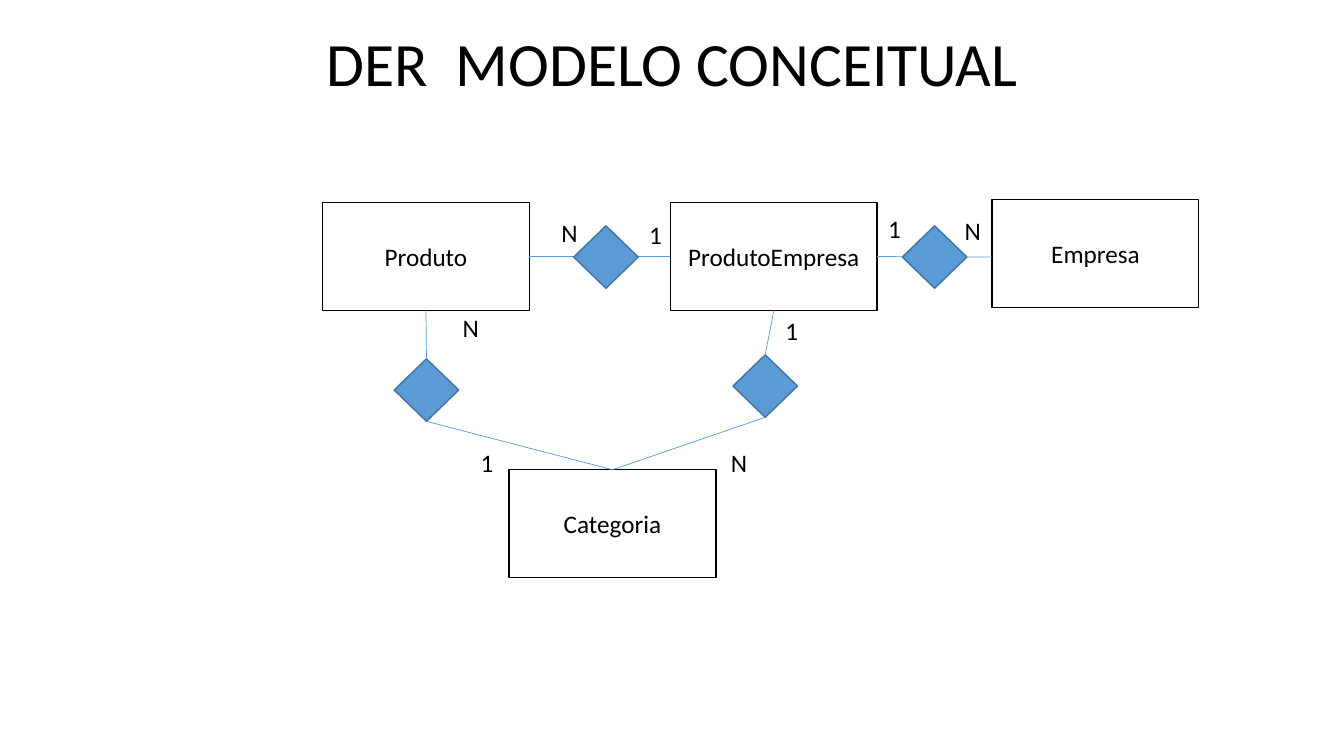
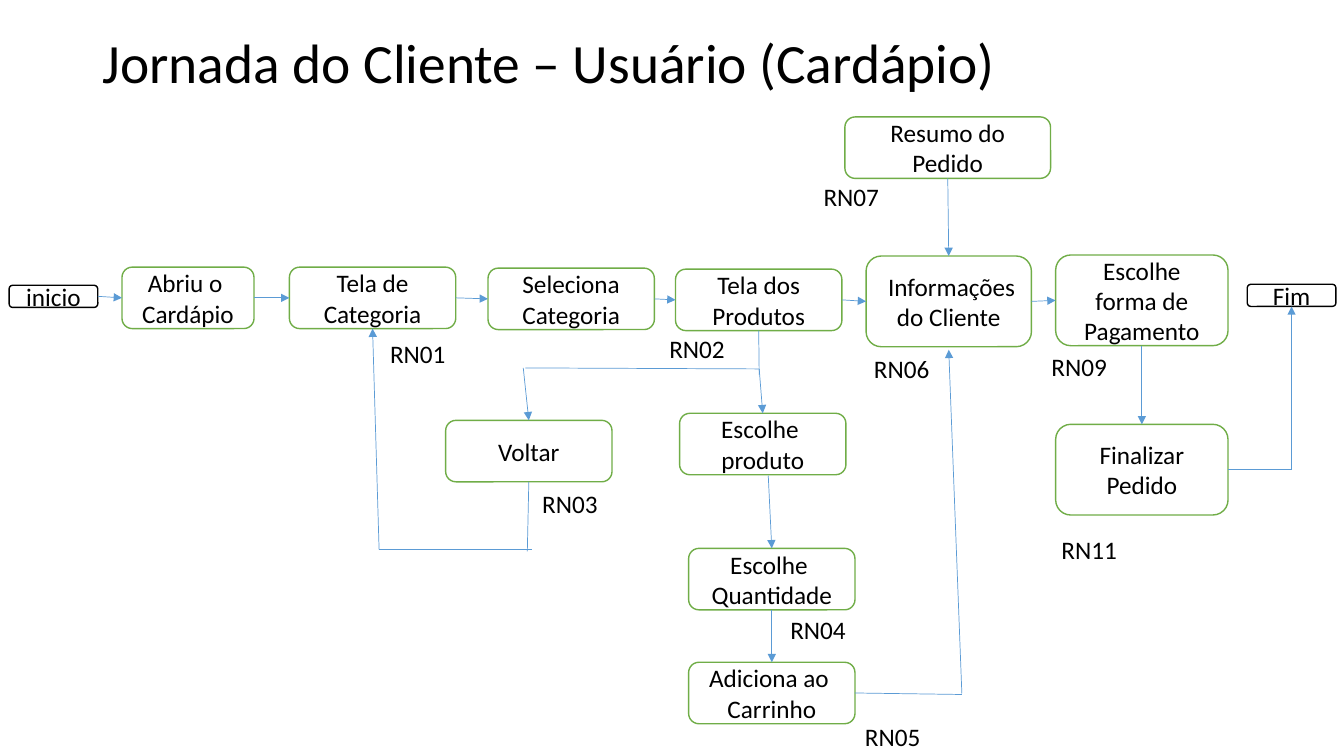
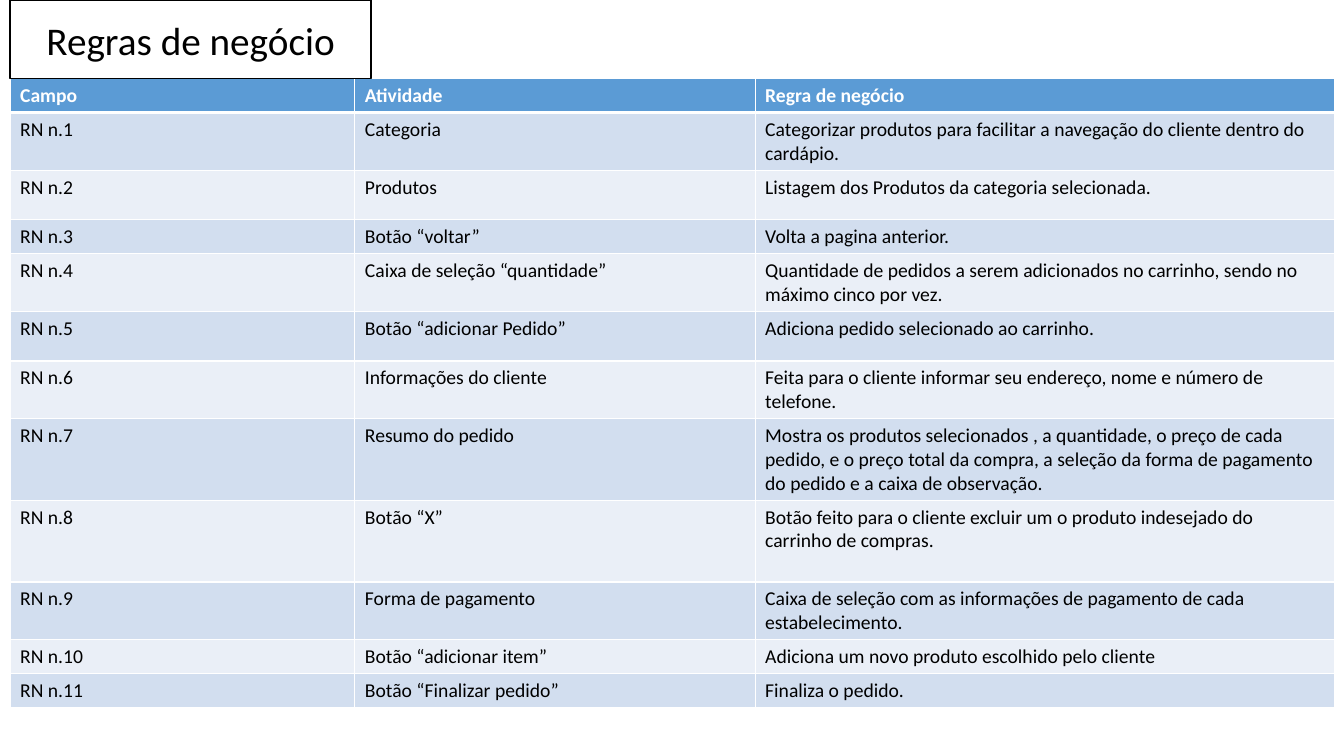
from dataclasses import dataclass
from enum import IntEnum

from lxml import etree
from pptx import Presentation
from pptx import util as u
from pptx.dml.color import RGBColor
from pptx.enum import shapes, text
from pptx.oxml import ns

# Shared look: a grid of square cells, 75 rows to the slide's height
WIDTH, HEIGHT = u.Inches(13.33), u.Inches(7.5)
CELL = HEIGHT / 75
FONT = "Calibri"
BODY_SIZE = 18
COLORS = {
    "ink": "000000",
    "paper": "FFFFFF",
    "accent": "5B9BD5",
    "accent_edge": "43739E",
    "step_edge": "70AD47",
    "band_dark": "D2DEEF",
    "band_light": "EAEFF7",
}
RECTANGLE = shapes.MSO_SHAPE.RECTANGLE
ROUNDED = shapes.MSO_SHAPE.ROUNDED_RECTANGLE
DIAMOND = shapes.MSO_SHAPE.DIAMOND


class Side(IntEnum):
    """Connection sites of rectangles and diamonds."""
    TOP = 0
    LEFT = 1
    BOTTOM = 2
    RIGHT = 3


@dataclass(frozen=True)
class Node:
    """A box of a diagram, measured in grid cells."""
    name: str
    label: str
    column: float
    row: float
    columns: float
    rows: float
    edge: str = "ink"
    fill: str = "paper"
    form: int = RECTANGLE
    size: float = BODY_SIZE


@dataclass(frozen=True)
class Label:
    """A text box, measured in grid cells."""
    words: str
    column: float
    row: float
    columns: float
    rows: float = 4
    size: float = BODY_SIZE
    wrap: bool = True
    fixed: bool = False
    spacing: float = 1


@dataclass(frozen=True)
class Link:
    """A straight line; each end is (node name, side) or (column, row)."""
    start: tuple
    end: tuple
    arrow: bool = True


def grid(cells: float) -> int:
    return round(cells * CELL)


def color(name: str) -> RGBColor:
    return RGBColor.from_string(COLORS[name])


def write(paragraph, words: str, size: float, ink="ink", bold=False) -> None:
    paragraph.text = words
    for run in paragraph.runs:
        run.font.name = FONT
        run.font.size = u.Pt(size)
        run.font.bold = bold
        run.font.color.rgb = color(ink)


def draw_node(slide, node: Node):
    shape = slide.shapes.add_shape(
        node.form, *map(grid, (node.column, node.row, node.columns, node.rows)))
    shape.shadow.inherit = False
    shape.fill.solid()
    shape.fill.fore_color.rgb = color(node.fill)
    shape.line.color.rgb = color(node.edge)
    shape.line.width = u.Pt(1)
    if node.label:
        frame = shape.text_frame
        frame.vertical_anchor = text.MSO_ANCHOR.MIDDLE
        frame.paragraphs[0].alignment = text.PP_ALIGN.CENTER
        write(frame.paragraphs[0], node.label, node.size)
    return shape


def draw_nodes(slide, nodes: list[Node]) -> dict:
    return {node.name: draw_node(slide, node) for node in nodes}


def draw_label(slide, label: Label) -> None:
    shape = slide.shapes.add_textbox(
        *map(grid, (label.column, label.row, label.columns, label.rows)))
    frame = shape.text_frame
    frame.word_wrap = label.wrap
    if label.fixed:
        frame.vertical_anchor = text.MSO_ANCHOR.MIDDLE
    else:
        frame.auto_size = text.MSO_AUTO_SIZE.SHAPE_TO_FIT_TEXT
    frame.paragraphs[0].line_spacing = label.spacing
    write(frame.paragraphs[0], label.words, label.size)


def draw_link(slide, link: Link, drawn: dict) -> None:
    loose = [(0, 0) if isinstance(end[0], str) else end for end in (link.start, link.end)]
    connector = slide.shapes.add_connector(
        shapes.MSO_CONNECTOR.STRAIGHT, *(grid(cells) for end in loose for cells in end))
    for end, attach in ((link.start, connector.begin_connect),
                        (link.end, connector.end_connect)):
        if isinstance(end[0], str):
            attach(drawn[end[0]], int(end[1]))
    connector.line.color.rgb = color("accent")
    connector.line.width = u.Pt(0.5)
    if link.arrow:
        outline = connector.line._get_or_add_ln()
        etree.SubElement(outline, ns.qn("a:tailEnd"), type="triangle")
    etree.SubElement(connector._element.spPr, ns.qn("a:effectLst"))


def draw_border(cell, side: str, points: float) -> None:
    properties = cell._tc.get_or_add_tcPr()
    border = etree.SubElement(properties, ns.qn(f"a:ln{side}"), w=str(u.Pt(points)))
    fill = etree.SubElement(border, ns.qn("a:solidFill"))
    etree.SubElement(fill, ns.qn("a:srgbClr"), val=COLORS["paper"])


# Slide 1: entities, relationships and cardinalities
def entity(name: str, column: float, row: float) -> Node:
    return Node(name, name, column, row, 20.5, 10.7)


def relationship(name: str, column: float, row: float) -> Node:
    return Node(name, "", column, row, 6.4, 6.2, "accent_edge", "accent", DIAMOND)


ENTITIES = [
    entity("Produto", 32, 20.1),
    entity("Empresa", 98.4, 19.8),
    entity("Categoria", 50.5, 46.6),
    entity("ProdutoEmpresa", 66.5, 20.1),
]
RELATIONSHIPS = [
    relationship("product offer", 56.9, 22.4),
    relationship("company offer", 89.5, 22.4),
    relationship("product category", 39.1, 35.6),
    relationship("offer category", 72.7, 35.2),
]
LINKS_BEHIND = [
    Link(("Produto", Side.RIGHT), ("ProdutoEmpresa", Side.LEFT), False),
    Link(("ProdutoEmpresa", Side.RIGHT), (98.4, 25.5), False),
]
CATEGORY_LINKS = [
    Link((relation, site), (target, target_site), False)
    for relation, owner in (("product category", "Produto"),
                            ("offer category", "ProdutoEmpresa"))
    for site, target, target_site in ((Side.TOP, owner, Side.BOTTOM),
                                      (Side.BOTTOM, "Categoria", Side.TOP))
]
CARDINALITIES = [
    ("1", 46.7, 43.9), ("N", 44.9, 30.5), ("1", 63.4, 21.3), ("1", 87.1, 20.7),
    ("N", 54.7, 21.1), ("N", 94.7, 20.9), ("N", 71.5, 43.9), ("1", 76.9, 30.8),
]


def build_model(slide) -> None:
    draw_label(slide, Label("DER  MODELO CONCEITUAL", 31.4, 2, 76, 8.4, 44))
    drawn = draw_nodes(slide, ENTITIES)
    for link in LINKS_BEHIND:
        draw_link(slide, link, drawn)
    drawn |= draw_nodes(slide, RELATIONSHIPS)
    for link in CATEGORY_LINKS:
        draw_link(slide, link, drawn)
    for mark, column, row in CARDINALITIES:
        columns = 3.6 if mark == "N" else 3.3
        draw_label(slide, Label(mark, column, row, columns, wrap=False))


# Slide 2: customer journey
def step(name: str, label: str, column: float, row: float,
         columns: float = 16.5, rows: float = 6.1) -> Node:
    return Node(name, label, column, row, columns, rows, "step_edge", form=ROUNDED)


def terminal(name: str, label: str, column: float, row: float) -> Node:
    return Node(name, label, column, row, 8.8, 2.2, form=ROUNDED)


STEPS = [
    terminal("start", "inicio", 0.9, 28.3),
    step("open", "Abriu o \nCardápio", 12.1, 26.5, 13.1),
    step("categories", "Tela de\nCategoria", 28.7, 26.5),
    step("choose category", "Seleciona\nCategoria", 48.4, 26.6),
    step("products", "Tela dos Produtos", 67, 26.7),
    step("back", "Voltar", 44.2, 41.7),
    step("choose product", "Escolhe \nproduto", 67.4, 41),
    step("quantity", "Escolhe \nQuantidade", 68.3, 54.4),
    step("cart", "Adiciona ao \nCarrinho", 68.3, 65.7),
    step("summary", "Resumo do Pedido", 83.8, 11.6, 20.4),
    step("customer", " Informações\ndo Cliente", 85.9, 25.4, 16.4, 9),
    step("payment", "Escolhe forma de\nPagamento", 104.7, 25.3, 17.1, 9),
    step("finish", "Finalizar Pedido", 104.7, 42.1, 17.1, 9),
    terminal("end", "Fim", 123.7, 28.2),
]
MAIN_ROUTE = ["start", "open", "categories", "choose category",
              "products", "customer", "payment"]
DOWNWARD = [("summary", "customer"), ("payment", "finish"), ("quantity", "cart")]
BACK_CORNER = (37.6, 54.5)
END_CORNER = (128.1, 46.6)
JOURNEY_LINKS = [
    *(Link((source, Side.RIGHT), (target, Side.LEFT))
      for source, target in zip(MAIN_ROUTE, MAIN_ROUTE[1:])),
    *(Link((source, Side.BOTTOM), (target, Side.TOP)) for source, target in DOWNWARD),
    # Fork below the product screen
    Link(("products", Side.BOTTOM), (75.3, 37.2), False),
    Link((52.1, 36.5), (75.3, 36.6), False),
    Link((51.9, 36.5), ("back", Side.TOP)),
    Link((75.3, 36.6), ("choose product", Side.TOP)),
    Link((76.2, 47.2), ("quantity", Side.TOP)),
    # Return to the categories
    Link(("back", Side.BOTTOM), (52.3, 54.7), False),
    Link(BACK_CORNER, (52.8, 54.5), False),
    Link(BACK_CORNER, ("categories", Side.BOTTOM)),
    # Cart to customer details, then order to end
    Link(("cart", Side.RIGHT), (95.4, 68.9), False),
    Link((95.4, 68.8), (94.1, 34.7)),
    Link(("finish", Side.RIGHT), END_CORNER, False),
    Link(END_CORNER, ("end", Side.BOTTOM)),
]
RULE_TAGS = {
    "RN01": (37.7, 33.1), "RN02": (65.4, 32.6), "RN03": (52.8, 48),
    "RN04": (77.4, 60.5), "RN05": (84.8, 71.1), "RN06": (85.7, 34.6),
    "RN07": (80.7, 17.5), "RN09": (103.3, 34.4), "RN11": (104.3, 52.5),
}


def build_journey(slide) -> None:
    draw_label(slide, Label("Jornada do Cliente – Usuário (Cardápio)",
                            9.2, 4, 115, 4.9, 39.6, fixed=True, spacing=0.9))
    drawn = draw_nodes(slide, STEPS)
    for link in JOURNEY_LINKS:
        draw_link(slide, link, drawn)
    for tag, (column, row) in RULE_TAGS.items():
        draw_label(slide, Label(tag, column, row, 10.6))


# Slide 3: business rules, each with its row height
RULE_COLUMNS = [34.2, 39.7, 57.5]
HEADER = ("Campo", "Atividade", "Regra de negócio")
LOW, MIDDLE, HIGH = 2.8, 4.9, 8.1
RULES = [
    (MIDDLE, "Categoria",
     "Categorizar produtos para facilitar a navegação do cliente dentro do cardápio."),
    (MIDDLE, "Produtos", "Listagem dos Produtos da categoria selecionada."),
    (LOW, "Botão “voltar”", "Volta a pagina anterior."),
    (LOW, "Caixa de seleção “quantidade”",
     "Quantidade de pedidos a serem adicionados no carrinho, "
     "sendo no máximo cinco por vez."),
    (MIDDLE, "Botão “adicionar Pedido”", "Adiciona pedido selecionado ao carrinho."),
    (MIDDLE, "Informações do cliente",
     "Feita para o cliente informar seu endereço, nome e número de telefone."),
    (HIGH, "Resumo do pedido",
     "Mostra os produtos selecionados , a quantidade, o preço de cada pedido, "
     "e o preço total da compra, a seleção da forma de pagamento do pedido "
     "e a caixa de observação."),
    (HIGH, "Botão “X”",
     "Botão feito para o cliente excluir um o produto indesejado do carrinho de compras."),
    (MIDDLE, "Forma de pagamento",
     "Caixa de seleção com as informações de pagamento de cada estabelecimento."),
    (LOW, "Botão “adicionar item”", "Adiciona um novo produto escolhido pelo cliente"),
    (LOW, "Botão “Finalizar pedido”", "Finaliza o pedido."),
]


def build_rules(slide) -> None:
    heights = [LOW] + [height for height, *_ in RULES]
    rows = [HEADER] + [(f"RN n.{number}", activity, rule)
                       for number, (_, activity, rule) in enumerate(RULES, 1)]
    table = slide.shapes.add_table(
        len(rows), len(HEADER), grid(1), grid(7.8),
        grid(sum(RULE_COLUMNS)), grid(sum(heights))).table
    table.horz_banding = False
    for column, columns in zip(table.columns, RULE_COLUMNS):
        column.width = grid(columns)
    for index, (row, height, values) in enumerate(zip(table.rows, heights, rows)):
        row.height = grid(height)
        header = index == 0
        fill = "accent" if header else "band_dark" if index % 2 else "band_light"
        borders = {"L": 1, "R": 1, "T": 3 if index == 1 else 1, "B": 3 if header else 1}
        for cell, words in zip(row.cells, values):
            for side, points in borders.items():
                draw_border(cell, side, points)
            cell.fill.solid()
            cell.fill.fore_color.rgb = color(fill)
            write(cell.text_frame.paragraphs[0], words, 14,
                  "paper" if header else "ink", header)
    draw_node(slide, Node("title", "Regras de negócio", 1, 0, 35.8, 7.8, size=28))


def main() -> None:
    presentation = Presentation()
    presentation.slide_width, presentation.slide_height = WIDTH, HEIGHT
    blank = presentation.slide_layouts[6]
    for build in (build_model, build_journey, build_rules):
        build(presentation.slides.add_slide(blank))
    presentation.save("out.pptx")


if __name__ == "__main__":
    main()
